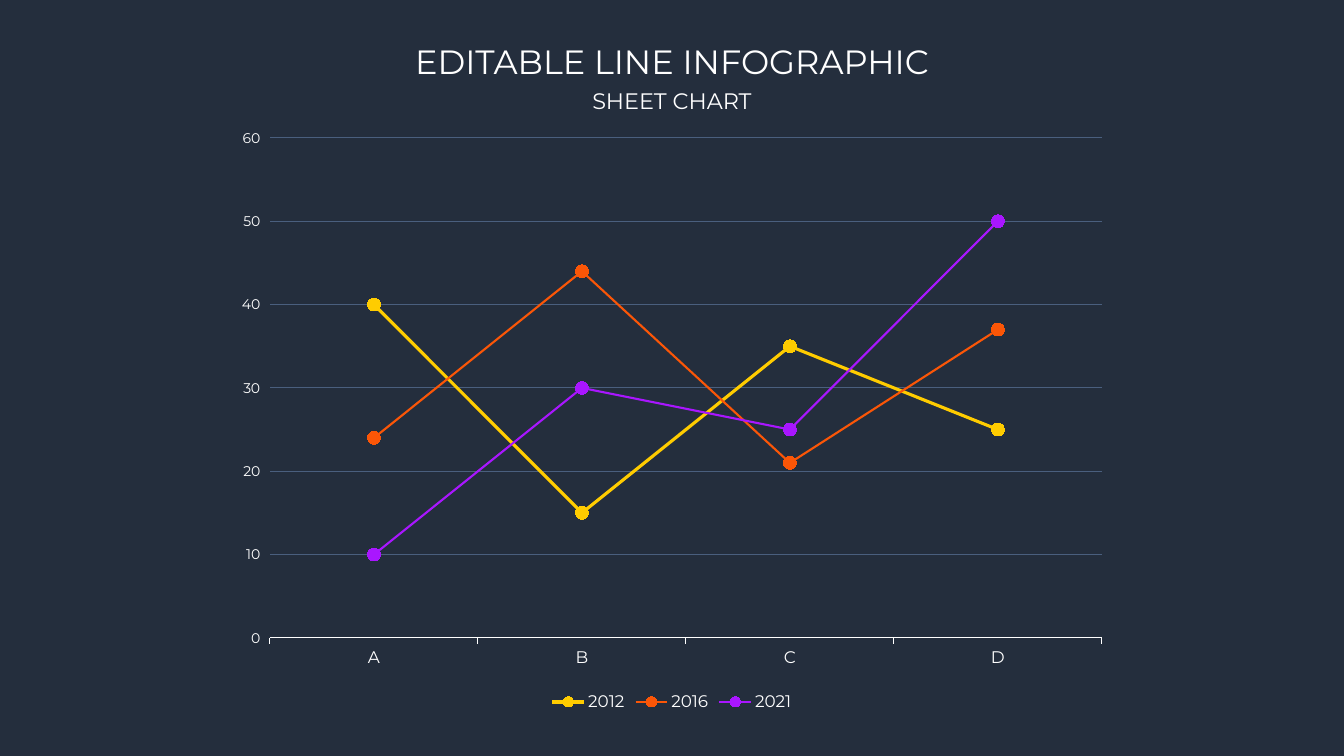
from lxml import etree
from pptx import Presentation
from pptx.chart.data import CategoryChartData
from pptx.dml.color import RGBColor
from pptx.enum.chart import XL_CHART_TYPE as ChartType
from pptx.enum.chart import XL_LEGEND_POSITION as LegendPos
from pptx.enum.chart import XL_MARKER_STYLE as Marker
from pptx.enum.chart import XL_TICK_MARK as Tick
from pptx.enum.text import MSO_ANCHOR, MSO_AUTO_SIZE, PP_ALIGN
from pptx.oxml.ns import qn
from pptx.util import Emu, Pt

SLIDE_W, SLIDE_H = 1344, 756
SCALE = 12192000 / SLIDE_W

NAVY = RGBColor(0x24, 0x2E, 0x3D)
WHITE = RGBColor(0xFF, 0xFF, 0xFF)
SLATE = RGBColor(0x4A, 0x5F, 0x7E)
YELLOW = RGBColor(0xFF, 0xCC, 0x00)
ORANGE = RGBColor(0xFB, 0x56, 0x07)
PURPLE = RGBColor(0xA9, 0x16, 0xFF)
FONT = "Montserrat"

CATEGORIES = ["A", "B", "C", "D"]
# name, values, colour, line width in points
SERIES = [
    ("2012", (40, 15, 35, 25), YELLOW, 2.25),
    ("2016", (24, 44, 21, 37), ORANGE, 1.5),
    ("2021", (10, 30, 25, 50), PURPLE, 1.5),
]


def px(n):
    return Emu(round(n * SCALE))


def style_font(font, size):
    font.name = FONT
    font.size = Pt(size)
    font.bold = False
    font.color.rgb = WHITE


def add_heading(slide, text, box, size):
    tb = slide.shapes.add_textbox(*map(px, box))
    tf = tb.text_frame
    tf.word_wrap = False
    tf.auto_size = MSO_AUTO_SIZE.SHAPE_TO_FIT_TEXT
    tf.vertical_anchor = MSO_ANCHOR.TOP
    tf.text = text
    p = tf.paragraphs[0]
    p.alignment = PP_ALIGN.CENTER
    style_font(p.runs[0].font, size)


def set_plot_box(chart, box, plot):
    """Fix the inner plot area; plot is left, top, width, height within box."""
    area = chart._chartSpace.chart.plotArea
    for old in area.findall(qn("c:layout")):
        area.remove(old)
    layout = etree.Element(qn("c:layout"))
    manual = etree.SubElement(layout, qn("c:manualLayout"))
    x, y, w, h = plot
    _, _, box_w, box_h = box
    settings = [
        ("layoutTarget", "inner"), ("xMode", "edge"), ("yMode", "edge"),
        ("x", x / box_w), ("y", y / box_h), ("w", w / box_w), ("h", h / box_h),
    ]
    for tag, value in settings:
        etree.SubElement(manual, qn(f"c:{tag}")).set("val", str(value))
    area.insert(0, layout)


def style_axes(chart):
    cat = chart.category_axis
    cat.major_tick_mark = Tick.OUTSIDE
    cat.format.line.color.rgb = WHITE
    cat.format.line.width = Pt(0.75)
    style_font(cat.tick_labels.font, 12)

    val = chart.value_axis
    val.minimum_scale, val.maximum_scale, val.major_unit = 0, 60, 10
    val.major_tick_mark = Tick.OUTSIDE
    val.format.line.fill.background()
    val.has_major_gridlines = True
    val.major_gridlines.format.line.color.rgb = SLATE
    val.major_gridlines.format.line.width = Pt(0.75)
    style_font(val.tick_labels.font, 10)


def add_line_chart(slide, box):
    data = CategoryChartData()
    data.categories = CATEGORIES
    for name, values, _, _ in SERIES:
        data.add_series(name, values)
    frame = slide.shapes.add_chart(ChartType.LINE_MARKERS, *map(px, box), data)
    chart = frame.chart
    chart.has_title = False
    style_font(chart.font, 10)
    style_axes(chart)
    set_plot_box(chart, box, (46, 20, 832, 500))

    plot = chart.plots[0]
    plot.vary_by_categories = False
    for ser, (_, _, color, width) in zip(plot.series, SERIES):
        ser.smooth = False
        ser.format.line.color.rgb = color
        ser.format.line.width = Pt(width)
        ser.marker.style = Marker.CIRCLE
        ser.marker.size = 9
        ser.marker.format.fill.solid()
        ser.marker.format.fill.fore_color.rgb = color
        ser.marker.format.line.color.rgb = color

    chart.has_legend = True
    chart.legend.position = LegendPos.BOTTOM
    chart.legend.include_in_layout = False
    style_font(chart.legend.font, 12)


def main():
    prs = Presentation()
    prs.slide_width, prs.slide_height = px(SLIDE_W), px(SLIDE_H)
    slide = prs.slides.add_slide(prs.slide_layouts[6])
    slide.background.fill.solid()
    slide.background.fill.fore_color.rgb = NAVY

    add_line_chart(slide, (224, 118, 896, 598))
    add_heading(slide, "EDITABLE LINE INFOGRAPHIC", (397, 36, 550, 50), 24)
    add_heading(slide, "SHEET CHART", (580, 82, 184, 37), 16)
    prs.save("out.pptx")


if __name__ == "__main__":
    main()
